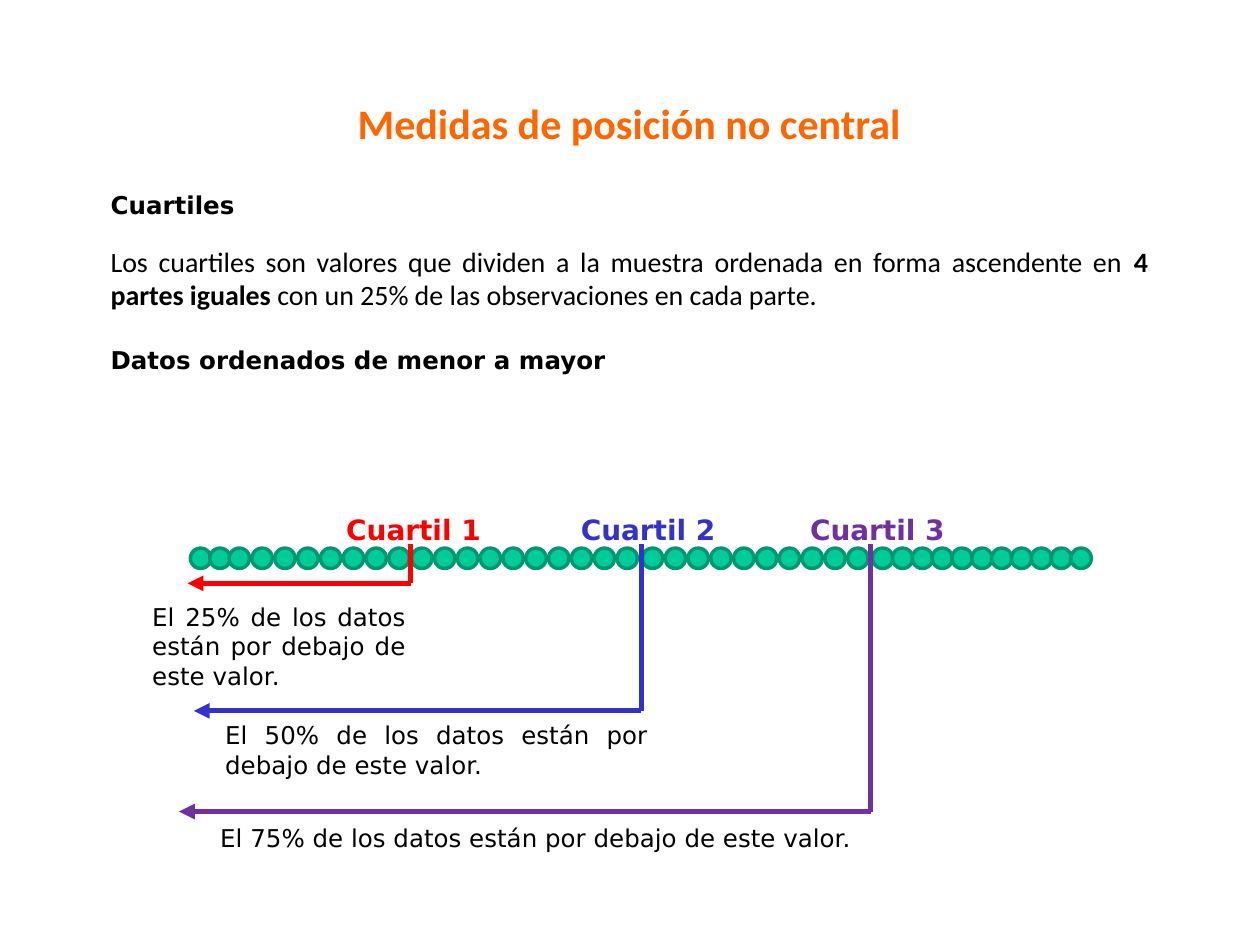
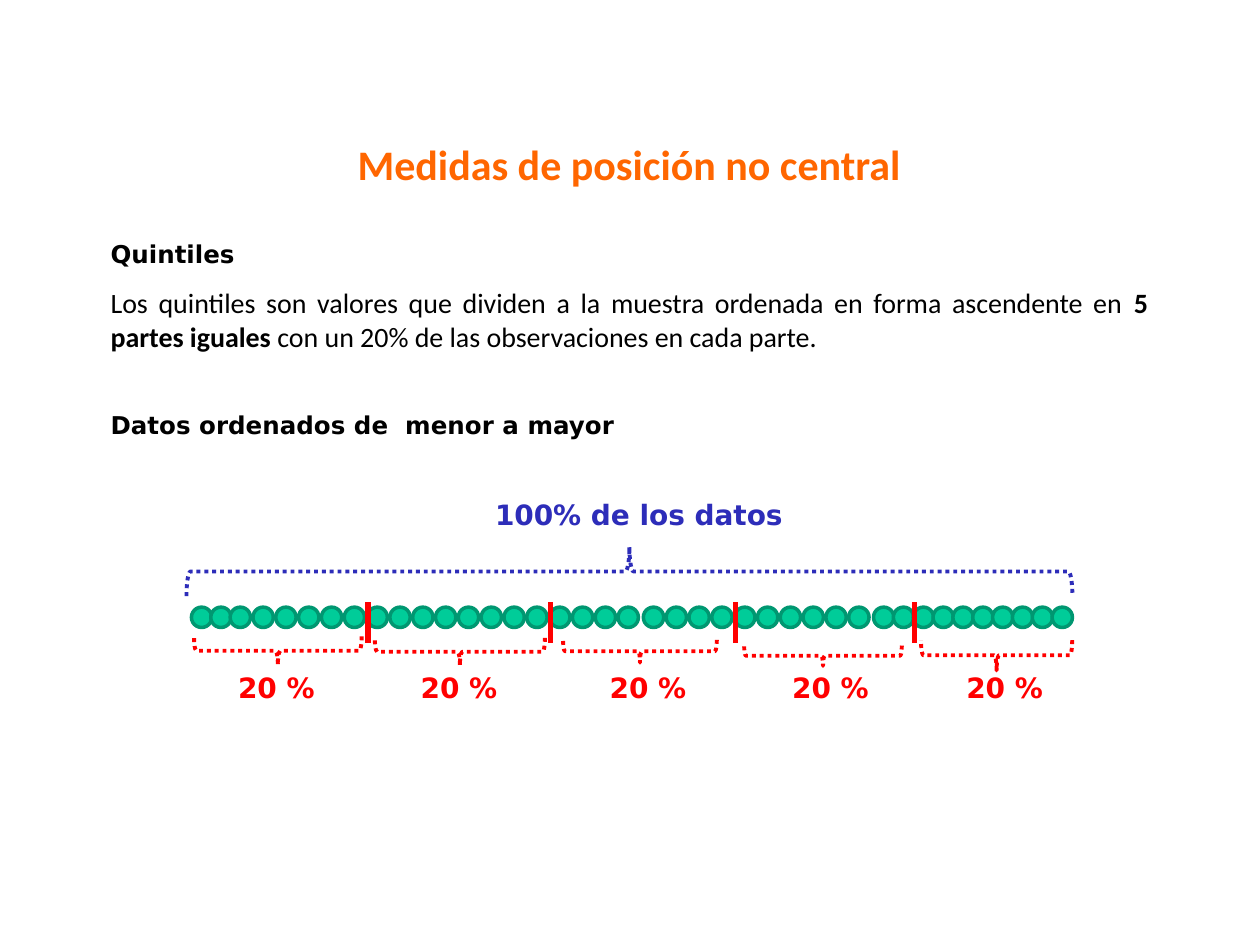
from dataclasses import dataclass

from pptx import Presentation
from pptx.dml.color import RGBColor
from pptx.enum.dml import MSO_LINE
from pptx.enum.shapes import MSO_CONNECTOR, MSO_SHAPE
from pptx.enum.text import MSO_AUTO_SIZE, PP_ALIGN
from pptx.oxml.xmlchemy import OxmlElement
from pptx.util import Cm, Pt

LEFT, CENTER, JUSTIFY = PP_ALIGN.LEFT, PP_ALIGN.CENTER, PP_ALIGN.JUSTIFY
STRAIGHT = MSO_CONNECTOR.STRAIGHT
OVAL, BRACE = MSO_SHAPE.OVAL, MSO_SHAPE.RIGHT_BRACE
DOTTED = MSO_LINE.ROUND_DOT
FIT = MSO_AUTO_SIZE.SHAPE_TO_FIT_TEXT


@dataclass(frozen=True)
class Theme:
    """Colours, fonts and sizes shared by both slides."""
    orange: str = "FF6600"
    black: str = "000000"
    red: str = "FF0000"
    blue: str = "3333CC"
    purple: str = "7030A0"
    navy: str = "2D2DB9"
    bead: str = "00CC99"
    bead_edge: str = "009771"
    body_font: str = "Calibri"
    label_font: str = "DejaVu Sans"
    title: int = 24
    body: int = 16
    small: int = 14
    line: float = 3
    brace: float = 2.25
    bead_line: float = 2


T = Theme()
TITLE = {"name": T.body_font, "size": T.title, "color": T.orange, "bold": True}
BODY = {"name": T.body_font, "size": T.body, "color": T.black, "bold": False}
STRONG = {**BODY, "bold": True}
NOTE = {"name": T.label_font, "size": T.small, "color": T.black, "bold": False}
HEADING = {**NOTE, "bold": True}
LABEL = {**HEADING, "size": T.body}

# Each run of beads: offset of the first one, number, step (cm)
BEAD_RUNS = [(0, 3, 0.39), (1.24, 17, 0.46), (9.11, 10, 0.46)]
LAST_RUN, BEAD_STEP, BEAD_SIZE = 13.75, 0.4, 0.41


def add_text(shapes, box, runs, align=LEFT, wrap=False):
    """Write (text, format) runs as one paragraph in a text box."""
    tf = shapes.add_textbox(*map(Cm, box)).text_frame
    tf.word_wrap, tf.auto_size = wrap, FIT
    p = tf.paragraphs[0]
    p.alignment = align
    for text, fmt in runs:
        r = p.add_run()
        r.text = text
        for key, value in fmt.items():
            if key == "color":
                r.font.color.rgb = RGBColor.from_string(value)
            else:
                setattr(r.font, key, Pt(value) if key == "size" else value)


def set_line(sp, color, width):
    """Give a shape or connector a solid line."""
    sp.line.color.rgb = RGBColor.from_string(color)
    sp.line.width = Pt(width)


def add_line(shapes, start, end, color, arrow=False):
    """Draw a straight line, with an arrowhead at its end if asked."""
    c = shapes.add_connector(STRAIGHT, *map(Cm, (*start, *end)))
    set_line(c, color, T.line)
    if arrow:
        head = OxmlElement("a:tailEnd")
        head.set("type", "triangle")
        c.line._get_or_add_ln().append(head)
    c._element.spPr.append(OxmlElement("a:effectLst"))


def add_brace(shapes, center, depth, span, rotation, color):
    """Draw a dotted brace, turned to lie flat around its centre."""
    cx, cy = center
    box = (cx - depth / 2, cy - span / 2, depth, span)
    sp = shapes.add_shape(BRACE, *map(Cm, box))
    sp.rotation = rotation
    sp.shadow.inherit = False
    sp.fill.background()
    set_line(sp, color, T.brace)
    sp.line.dash_style = DOTTED


def add_beads(shapes, x, y, last_count):
    """Lay out the row of ordered observations from its left end."""
    for start, count, step in [*BEAD_RUNS, (LAST_RUN, last_count, BEAD_STEP)]:
        for i in range(count):
            box = (x + start + i * step, y, BEAD_SIZE, BEAD_SIZE)
            sp = shapes.add_shape(OVAL, *map(Cm, box))
            sp.shadow.inherit = False
            sp.fill.solid()
            sp.fill.fore_color.rgb = RGBColor.from_string(T.bead)
            set_line(sp, T.bead_edge, T.bead_line)


def add_intro(s, box, tops, topic, definition, data_label):
    """Place title, topic, definition and data label at offsets in the box."""
    x, y, w = box
    topic_y, definition_y, data_y = (y + top for top in tops)
    before, strong, after = definition
    add_text(s.shapes, (x, y, w, 1.27),
             [("Medidas de posición no central", TITLE)], CENTER, True)
    add_text(s.shapes, (x, topic_y, 3.3, 0.86), [(topic, HEADING)], wrap=True)
    add_text(s.shapes, (x, definition_y, w, 1.63),
             [(before, BODY), (strong, STRONG), (after, BODY)], JUSTIFY, True)
    add_text(s.shapes, (x, data_y, 11, 0.86), [(data_label, HEADING)],
             wrap=True)


def add_quartiles(s, x, y):
    """Draw the beads with three quartile markers and their notes."""
    add_beads(s.shapes, x, y, 11)
    # colour, label x, marker x, arrow end x, arrow y, note box, wrapped
    quartiles = [
        (T.red, 2.89, 4.44, -0.06, 0.71, (-1.02, 0.96, 5.61, 2.06), True),
        (T.blue, 7.62, 9.09, 0.07, 3.28, (0.45, 3.35, 9.02, 1.45), True),
        (T.purple, 12.24, 13.71, -0.23, 5.31, (0.35, 5.41, 13.9, 0.86), False),
    ]
    for n, (color, label_x, mark_x, end_x, arrow_y, note, wrap) in enumerate(
            quartiles, 1):
        corner = (x + mark_x, y + arrow_y)
        add_line(s.shapes, (x + mark_x, y - 0.08), corner, color)
        add_line(s.shapes, corner, (x + end_x, y + arrow_y), color, True)
        add_text(s.shapes, (x + label_x, y - 0.84, 3.25, 0.94),
                 [(f"Cuartil {n}", {**LABEL, "color": color})])
        dx, dy, w, h = note
        text = f"El {25 * n}% de los datos están por debajo de este valor."
        add_text(s.shapes, (x + dx, y + dy, w, h), [(text, NOTE)],
                 JUSTIFY if wrap else LEFT, wrap)


def add_quintiles(s, x, y):
    """Draw the beads, cut into five braced parts under one whole."""
    shapes = s.shapes.add_group_shape().shapes
    add_beads(shapes, x, y, 10)
    for cut in (3.56, 7.24, 10.97, 14.58):
        add_line(shapes, (x + cut, y - 0.1), (x + cut, y + 0.72), T.red)

    add_brace(shapes, (x + 8.83, y - 0.72), 0.99, 17.86, 270, T.navy)
    add_text(shapes, (x + 5.87, y - 2.33, 6.53, 0.94),
             [("100% de los datos", {**LABEL, "color": T.navy})])

    # brace centre x and y, depth, span, label x
    parts = [
        (1.74, 0.88, 0.58, 3.38, 0.69),
        (5.41, 0.9, 0.56, 3.43, 4.37),
        (9.04, 0.89, 0.46, 3.1, 8.18),
        (12.73, 0.98, 0.41, 3.18, 11.86),
        (16.23, 0.97, 0.61, 3.05, 15.37),
    ]
    for cx, cy, depth, span, label_x in parts:
        add_brace(shapes, (x + cx, y + cy), depth, span, 90, T.red)
        add_text(shapes, (x + label_x, y + 1.15, 2.24, 0.94),
                 [("20 %", {**LABEL, "color": T.red})])


def main():
    """Build both slides and save the presentation."""
    prs = Presentation()
    prs.slide_width, prs.slide_height = Cm(25.4), Cm(19.05)
    blank = prs.slide_layouts[6]

    s = prs.slides.add_slide(blank)
    add_intro(s, (1.98, 1.85, 21.41), (1.86, 2.95, 4.98), "Cuartiles",
              ("Los cuartiles son valores que dividen a la muestra ordenada "
               "en forma ascendente en ", "4 partes iguales ",
               "con un 25% de las observaciones en cada parte."),
              "Datos ordenados de menor a mayor")
    add_quartiles(s, 3.84, 11.05)

    s = prs.slides.add_slide(blank)
    add_intro(s, (1.98, 2.67, 21.41), (2.03, 2.97, 5.48), "Quintiles",
              ("Los quintiles son valores que dividen a la muestra ordenada "
               "en forma ascendente en ", "5 partes iguales",
               " con un 20% de las observaciones en cada parte."),
              "Datos ordenados de  menor a mayor")
    add_quintiles(s, 3.86, 12.24)

    prs.save("out.pptx")


main()
